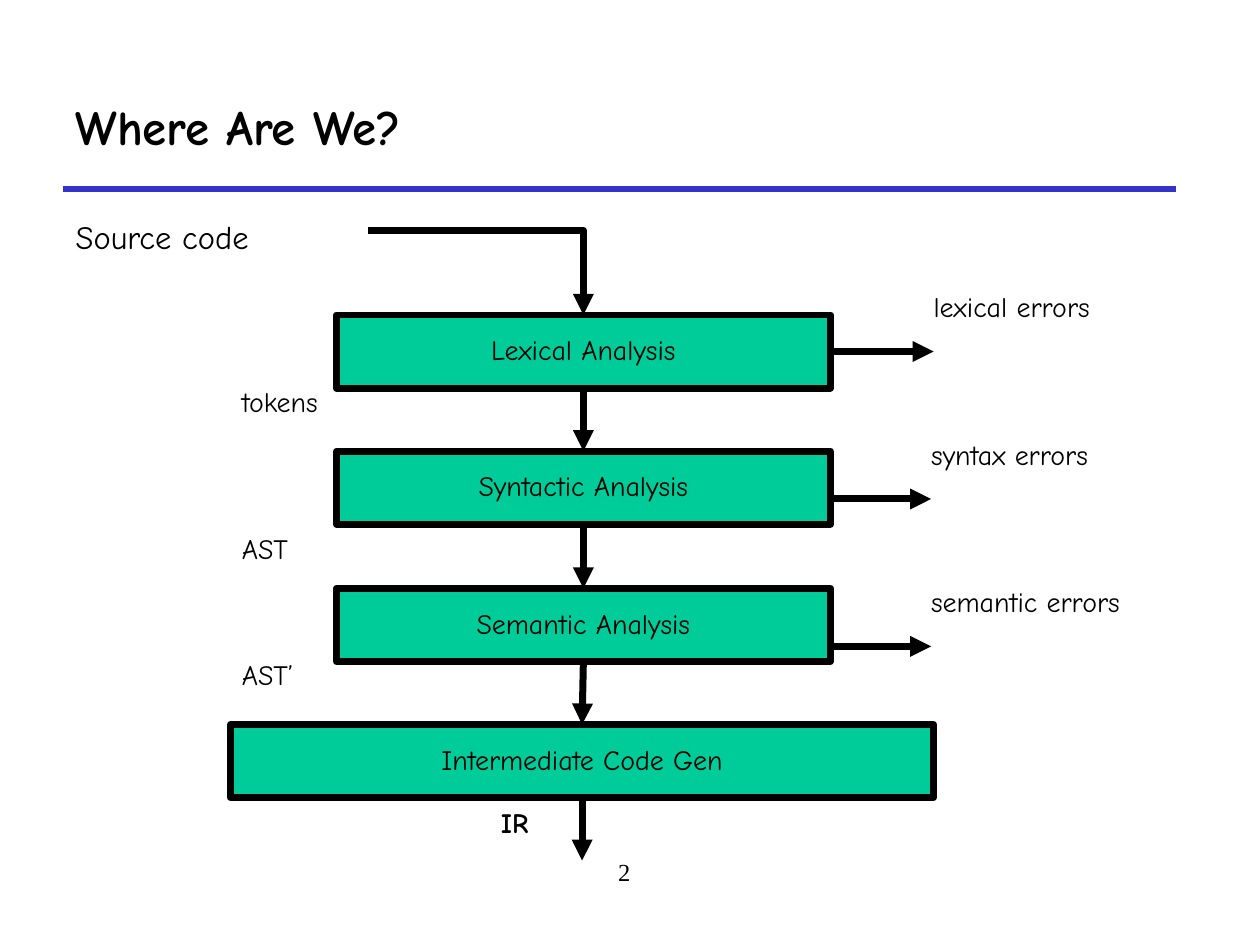
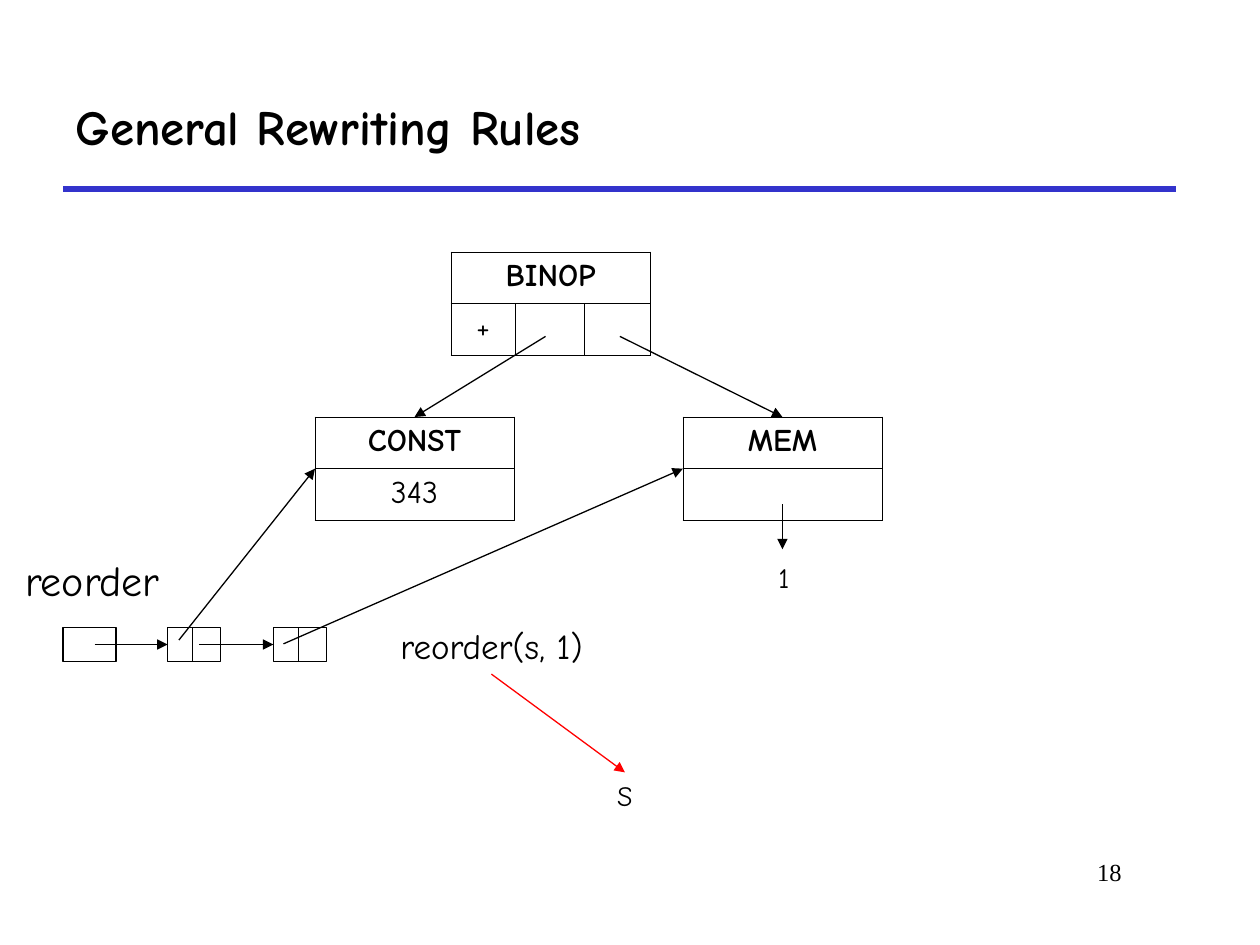
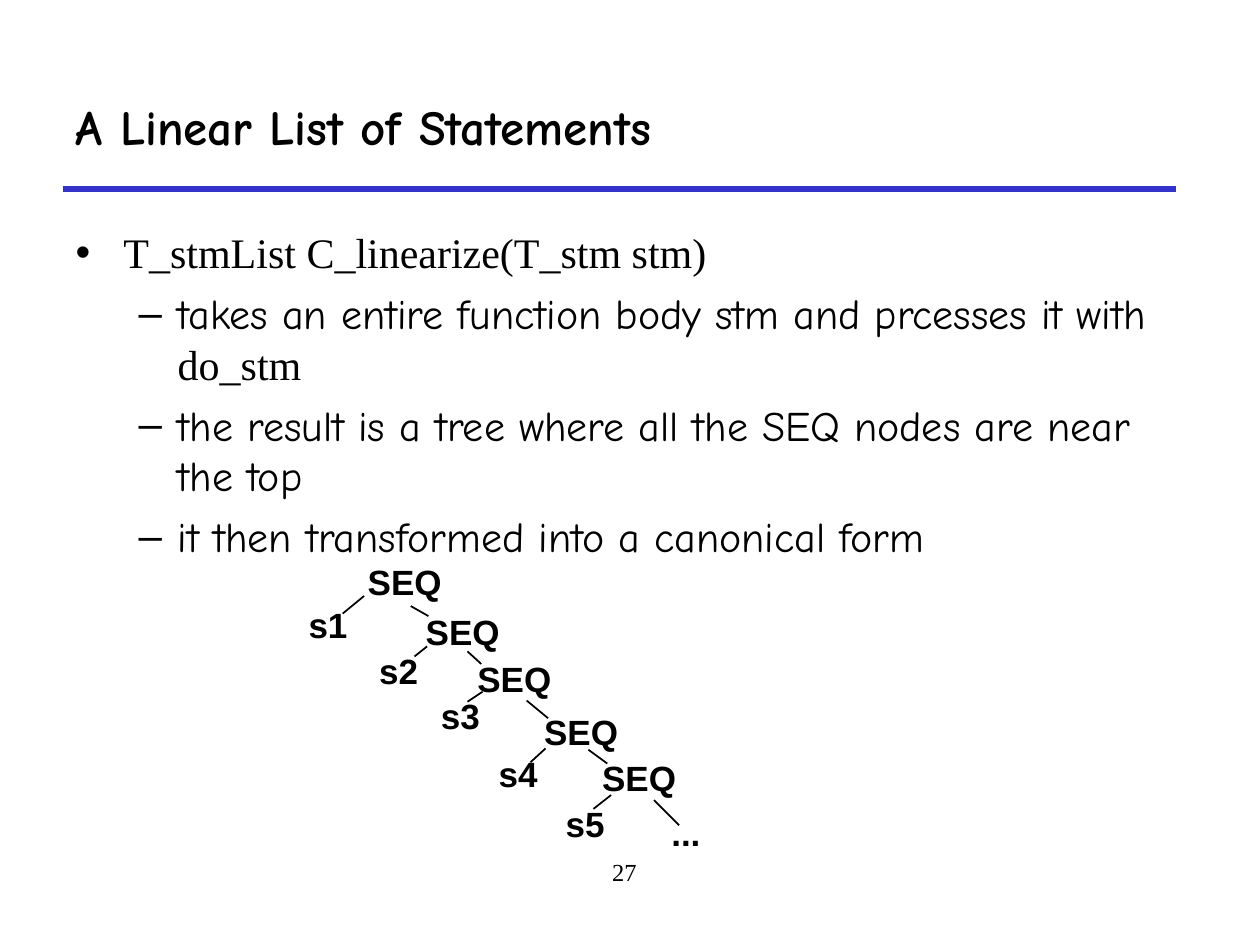
"""Build three compiler-course slides: pipeline, rewriting rules and linear statements."""
from dataclasses import dataclass
from typing import Any

from lxml import etree
from pptx import Presentation
from pptx.dml.color import RGBColor
from pptx.enum.shapes import MSO_CONNECTOR, MSO_SHAPE
from pptx.enum.text import MSO_ANCHOR, MSO_AUTO_SIZE, PP_ALIGN
from pptx.oxml.ns import qn
from pptx.util import Inches, Pt

BLACK = RGBColor(0x00, 0x00, 0x00)
WHITE = RGBColor(0xFF, 0xFF, 0xFF)
BLUE = RGBColor(0x33, 0x33, 0xCC)
GREEN = RGBColor(0x00, 0xCC, 0x99)
RED = RGBColor(0xFF, 0x00, 0x00)

COMIC, TIMES, ARIAL = "Comic Neue", "Times New Roman", "Arial"
TOP, LEFT, BOTTOM, RIGHT = range(4)

TITLE_FONT = {"name": COMIC, "size": Pt(28), "bold": True}
NUMBER_FONT = {"name": TIMES, "size": Pt(14)}
SOURCE_FONT = {"name": COMIC, "size": Pt(18.6)}
FLOW_FONT = {"name": COMIC, "size": Pt(16)}
CELL_FONT = {"name": COMIC, "size": Pt(18)}
TREE_FONT = {"name": ARIAL, "size": Pt(20), "bold": True}

FLUSH = {f"margin_{side}": 0 for side in ("left", "top", "right", "bottom")}
STAGE_FRAME = {"word_wrap": False, "vertical_anchor": MSO_ANCHOR.MIDDLE}
NOTE_FRAME = {"word_wrap": True, "vertical_anchor": MSO_ANCHOR.TOP} | FLUSH
LABEL_FRAME = {"word_wrap": False, "auto_size": MSO_AUTO_SIZE.SHAPE_TO_FIT_TEXT}
TREE_FRAME = LABEL_FRAME | {"vertical_anchor": MSO_ANCHOR.MIDDLE}

STAGE_PARA = {"alignment": PP_ALIGN.CENTER, "line_spacing": 0.9, "space_before": Pt(4)}
NOTE_PARA = {"alignment": PP_ALIGN.LEFT, "line_spacing": 0.9, "space_before": Pt(6)}
TREE_PARA = {"line_spacing": 0.9, "space_before": Pt(5)}
LIST_PARA = {"alignment": PP_ALIGN.LEFT, "space_before": Pt(6)}


@dataclass(frozen=True)
class Box:
    """A rectangle in inches."""

    left: float
    top: float
    width: float
    height: float

    def lengths(self) -> list:
        """Return left, top, width and height as lengths."""
        return [Inches(v) for v in (self.left, self.top, self.width, self.height)]


@dataclass(frozen=True)
class Stage:
    """A compiler stage with its input label and its error output."""

    name: str
    box: Box
    result: str = ""
    result_top: float = 0
    errors: str = ""
    error_box: Box | None = None


@dataclass(frozen=True)
class Node:
    """A tree node drawn as a small table."""

    left: float
    top: float
    name: str
    fields: tuple[str, ...]
    widths: tuple[float, ...] = (1.58,)


@dataclass(frozen=True)
class Line:
    """A straight line between two points in inches."""

    start: tuple[float, float]
    end: tuple[float, float]
    color: RGBColor = BLACK
    width: float = 0.75
    arrow: bool = True


STAGES = (
    Stage("Lexical Analysis", Box(2.67, 2.5, 3.92, 0.58), "tokens", 3.08,
          "lexical errors", Box(7.41, 2.33, 1.42, 0.92)),
    Stage("Syntactic Analysis", Box(2.67, 3.58, 3.92, 0.58), "AST", 4.25,
          "syntax errors", Box(7.39, 3.5, 1.78, 0.92)),
    Stage("Semantic Analysis", Box(2.67, 4.67, 3.92, 0.58), "AST’", 5.25,
          "semantic errors", Box(7.39, 4.67, 1.7, 0.92)),
    Stage("Intermediate Code Gen", Box(1.83, 5.75, 5.58, 0.58)),
)

NODES = (
    Node(3.58, 2, "BINOP", ("+", "", ""), (0.51, 0.55, 0.52)),
    Node(2.5, 3.31, "CONST", ("343",)),
    Node(5.42, 3.31, "MEM", ("",)),
)
POINTERS = (
    Line((4.33, 2.67), (3.29, 3.31)),
    Line((4.92, 2.67), (6.21, 3.31)),
    Line((3.9, 5.35), (4.96, 6.13), RED),
    Line((6.21, 4), (6.21, 4.36)),
    Line((1.42, 5.08), (2.5, 3.72)),
    Line((2.25, 5.11), (5.42, 3.72)),
)
RULE_LABELS = (
    ("S", Box(4.8, 6.13, 0.32, 0.37), 16),
    ("1", Box(6.08, 4.4, 0.29, 0.37), 16),
    ("reorder", Box(0.1, 4.35, 1.28, 0.5), 24),
    ("reorder(s, 1)", Box(3.08, 4.91, 1.66, 0.44), 20),
)

STATEMENTS = (
    (0, (("T_stmList C_linearize(T_stm stm)", TIMES),)),
    (1, (("takes an entire function body stm and prcesses it with ", COMIC), ("do_stm", TIMES))),
    (1, (("the result is a tree where all the SEQ nodes are near the top", COMIC),)),
    (1, (("it then transformed into a canonical form", COMIC),)),
)
SEQ_SPOTS = ((2.82, 4.44), (3.28, 4.83), (3.69, 5.21), (4.22, 5.63), (4.68, 5.99))
LEAF_SPOTS = ((2.35, 4.78), (2.91, 5.14), (3.4, 5.5), (3.86, 5.96), (4.39, 6.36))
BRANCHES = (
    ((3.26, 4.81), (3.4, 4.89)), ((3.71, 5.17), (3.82, 5.27)),
    ((4.18, 5.56), (4.35, 5.7)), ((4.67, 5.95), (4.82, 6.06)),
    ((5.19, 6.35), (5.39, 6.55)),
    ((2.89, 4.73), (2.72, 4.87)), ((3.39, 5.13), (3.29, 5.21)),
    ((3.83, 5.49), (3.71, 5.57)), ((4.33, 5.94), (4.21, 6.05)),
    ((4.85, 6.31), (4.71, 6.42)),
)


def assign(obj: Any, values: dict) -> None:
    """Set every attribute named in values."""
    for name, value in values.items():
        setattr(obj, name, value)


def add_run(p: Any, text: str, font: dict) -> None:
    """Append a black run to a paragraph."""
    r = p.add_run()
    r.text = text
    assign(r.font, font)
    r.font.color.rgb = BLACK


def write(tf: Any, text: str, font: dict, para: dict, frame: dict) -> None:
    """Fill a text frame with one formatted paragraph."""
    assign(tf, frame)
    assign(tf.paragraphs[0], para)
    add_run(tf.paragraphs[0], text, font)


def add_text(s: Any, text: str, box: Box, font: dict, para: dict, frame: dict) -> None:
    """Add a text box."""
    write(s.shapes.add_textbox(*box.lengths()).text_frame, text, font, para, frame)


def add_rect(shapes: Any, box: Box, fill: RGBColor | None, width: float) -> Any:
    """Add a rectangle; a width of zero means no outline."""
    sp = shapes.add_shape(MSO_SHAPE.RECTANGLE, *box.lengths())
    sp.shadow.inherit = False
    if fill is None:
        sp.fill.background()
    else:
        sp.fill.solid()
        sp.fill.fore_color.rgb = fill
    if width:
        sp.line.color.rgb = BLACK
        sp.line.width = Pt(width)
    else:
        sp.line.fill.background()
    return sp


def add_note(s: Any, text: str, box: Box, font: dict, para: dict) -> Any:
    """Add text on a half-transparent white rectangle."""
    sp = add_rect(s.shapes, box, WHITE, 0)
    color = sp.element.spPr.find(f"{qn('a:solidFill')}/{qn('a:srgbClr')}")
    etree.SubElement(color, qn("a:alpha"), val="50000")
    write(sp.text_frame, text, font, para, NOTE_FRAME)
    return sp


def add_line(shapes: Any, line: Line, kind: Any = MSO_CONNECTOR.STRAIGHT) -> Any:
    """Add a connector without a shadow."""
    c = shapes.add_connector(kind, *[Inches(v) for v in line.start + line.end])
    c.line.color.rgb = line.color
    c.line.width = Pt(line.width)
    spPr = c.element.spPr
    if line.arrow:
        etree.SubElement(spPr.find(qn("a:ln")), qn("a:tailEnd"), type="triangle")
    etree.SubElement(spPr, qn("a:effectLst"))
    return c


def set_list_level(p: Any, margin: float, indent: float, bullet: str = "") -> None:
    """Set a hanging indent and a bullet, or no bullet."""
    pPr = p._p.get_or_add_pPr()
    pPr.set("marL", str(Inches(margin)))
    pPr.set("indent", str(Inches(indent)))
    if bullet:
        color = etree.SubElement(pPr, qn("a:buClr"))
        etree.SubElement(color, qn("a:srgbClr"), val=str(BLACK))
        etree.SubElement(pPr, qn("a:buChar"), char=bullet)
    else:
        etree.SubElement(pPr, qn("a:buNone"))


def place(sp: Any, box: Box) -> None:
    """Move a placeholder to a box."""
    assign(sp, dict(zip(("left", "top", "width", "height"), box.lengths())))


def start_slide(prs: Any, layout: int, title: str, number: str, box: Box, align: Any) -> Any:
    """Add a slide with its rule, number and title."""
    s = prs.slides.add_slide(prs.slide_layouts[layout])
    add_line(s.shapes, Line((0.5, 1.5), (9.33, 1.5), BLUE, 3, False))
    add_text(s, number, box, NUMBER_FONT, {"alignment": align}, {"word_wrap": True})
    place(s.shapes.title, Box(0.5, 0.5, 8.83, 1))
    write(s.shapes.title.text_frame, title, TITLE_FONT, {"alignment": PP_ALIGN.LEFT},
          {"vertical_anchor": MSO_ANCHOR.MIDDLE, "auto_size": MSO_AUTO_SIZE.NONE})
    return s


def add_node(s: Any, node: Node) -> None:
    """Add a tree node table: a name row over a row of fields."""
    box = Box(node.left, node.top, sum(node.widths), 0.82)
    frame = s.shapes.add_table(2, len(node.widths), *box.lengths())
    table = frame.table
    assign(table, {"first_row": False, "horz_banding": False})
    for column, width in zip(table.columns, node.widths):
        column.width = Inches(width)
    for row in table.rows:
        row.height = Inches(0.41)
    for cell in table.iter_cells():
        tcPr = cell._tc.get_or_add_tcPr()
        for side in "LRTB":
            ln = etree.SubElement(tcPr, qn(f"a:ln{side}"), w=str(Pt(0.45)))
            fill = etree.SubElement(ln, qn("a:solidFill"))
            etree.SubElement(fill, qn("a:srgbClr"), val=str(BLACK))
        cell.fill.background()
    if len(node.widths) > 1:
        table.cell(0, 0).merge(table.cell(0, len(node.widths) - 1))
    center = {"alignment": PP_ALIGN.CENTER}
    write(table.cell(0, 0).text_frame, node.name, CELL_FONT | {"bold": True}, center, {})
    for i, text in enumerate(node.fields):
        if text:
            write(table.cell(1, i).text_frame, text, CELL_FONT | {"bold": False}, center, {})


def build_pipeline(prs: Any) -> None:
    """Draw the compiler front end as a chain of stages."""
    s = start_slide(prs, 1, "Where Are We?", "2", Box(3.08, 6.75, 3.75, 0.5), PP_ALIGN.CENTER)
    body = s.placeholders[1]
    place(body, Box(0.5, 1.67, 2.34, 0.42))
    write(body.text_frame, "Source code", SOURCE_FONT, LIST_PARA,
          {"auto_size": MSO_AUTO_SIZE.NONE})
    set_list_level(body.text_frame.paragraphs[0], 0.38, -0.38)

    rects = []
    for stage in STAGES:
        sp = add_rect(s.shapes, stage.box, GREEN, 4)
        write(sp.text_frame, stage.name, FLOW_FONT, STAGE_PARA, STAGE_FRAME)
        rects.append(sp)
    for upper, lower in zip(rects, rects[1:]):
        c = add_line(s.shapes, Line((4.63, 3), (4.63, 3.5), width=4))
        c.begin_connect(upper, BOTTOM)
        c.end_connect(lower, TOP)
    c = add_line(s.shapes, Line((2.92, 1.83), (4.63, 2.47), width=4), MSO_CONNECTOR.ELBOW)
    c.element.spPr.find(qn("a:prstGeom")).set("prst", "bentConnector2")
    c.end_connect(rects[0], TOP)

    for stage, rect in zip(STAGES[:-1], rects):
        box = stage.error_box
        note = add_note(s, stage.errors, box, FLOW_FONT, NOTE_PARA)
        middle = box.top + box.height / 2
        c = add_line(s.shapes, Line((6.58, middle), (box.left, middle), width=4))
        if stage is STAGES[0]:
            c.begin_connect(rect, RIGHT)
        c.end_connect(note, LEFT)
        add_text(s, stage.result, Box(1.92, stage.result_top, 1.5, 0.42),
                 FLOW_FONT, NOTE_PARA, NOTE_FRAME)
    c = add_line(s.shapes, Line((4.62, 6.33), (4.62, 6.83), width=4))
    c.begin_connect(rects[-1], BOTTOM)
    add_note(s, "IR", Box(3.67, 6.42, 0.83, 0.42), FLOW_FONT | {"bold": True},
             NOTE_PARA | {"alignment": PP_ALIGN.CENTER})


def build_rules(prs: Any) -> None:
    """Draw the expression tree and the reorder list that points into it."""
    s = start_slide(prs, 5, "General Rewriting Rules", "18",
                    Box(6.92, 6.75, 2.08, 0.5), PP_ALIGN.RIGHT)
    for node in NODES:
        add_node(s, node)
    add_rect(s.shapes, Box(0.5, 4.98, 0.42, 0.27), None, 0.75)
    for left, pointer in ((1.33, 0.75), (2.17, 1.58)):
        group = s.shapes.add_group_shape()
        link = add_rect(group.shapes, Box(left, 4.98, 0.42, 0.27), None, 0.75)
        add_line(group.shapes, Line((left + 0.2, 4.98), (left + 0.2, 5.25), arrow=False))
        c = add_line(s.shapes, Line((pointer, 5.115), (left, 5.115)))
        c.end_connect(link, LEFT)
    for pointer in POINTERS:
        add_line(s.shapes, pointer)
    for text, box, size in RULE_LABELS:
        add_text(s, text, box, {"name": COMIC, "size": Pt(size)}, {}, LABEL_FRAME)


def build_statements(prs: Any) -> None:
    """Describe linearization and draw the resulting SEQ tree."""
    s = start_slide(prs, 1, "A Linear List of Statements", "27",
                    Box(3.08, 6.75, 3.75, 0.5), PP_ALIGN.CENTER)
    body = s.placeholders[1]
    place(body, Box(0.5, 1.75, 9.08, 4.83))
    tf = body.text_frame
    tf.auto_size = MSO_AUTO_SIZE.NONE
    levels = ((0.38, -0.38, "•"), (0.81, -0.31, "–"))
    for i, (level, runs) in enumerate(STATEMENTS):
        p = tf.add_paragraph() if i else tf.paragraphs[0]
        assign(p, LIST_PARA | {"level": level})
        set_list_level(p, *levels[level])
        for text, name in runs:
            add_run(p, text, {"name": name, "size": Pt(24)})

    labels = [("SEQ", spot, 0.79) for spot in SEQ_SPOTS]
    labels += [(f"s{i}", spot, 0.51) for i, spot in enumerate(LEAF_SPOTS, 1)]
    labels.append(("...", (5.23, 6.43), 0.43))
    for text, spot, width in labels:
        add_text(s, text, Box(*spot, width, 0.4), TREE_FONT, TREE_PARA, TREE_FRAME)
    for start, end in BRANCHES:
        add_line(s.shapes, Line(start, end, width=1, arrow=False))


def main() -> None:
    """Build and save the presentation."""
    prs = Presentation()
    prs.slide_width, prs.slide_height = Inches(10), Inches(7.5)
    build_pipeline(prs)
    build_rules(prs)
    build_statements(prs)
    prs.save("out.pptx")


if __name__ == "__main__":
    main()
